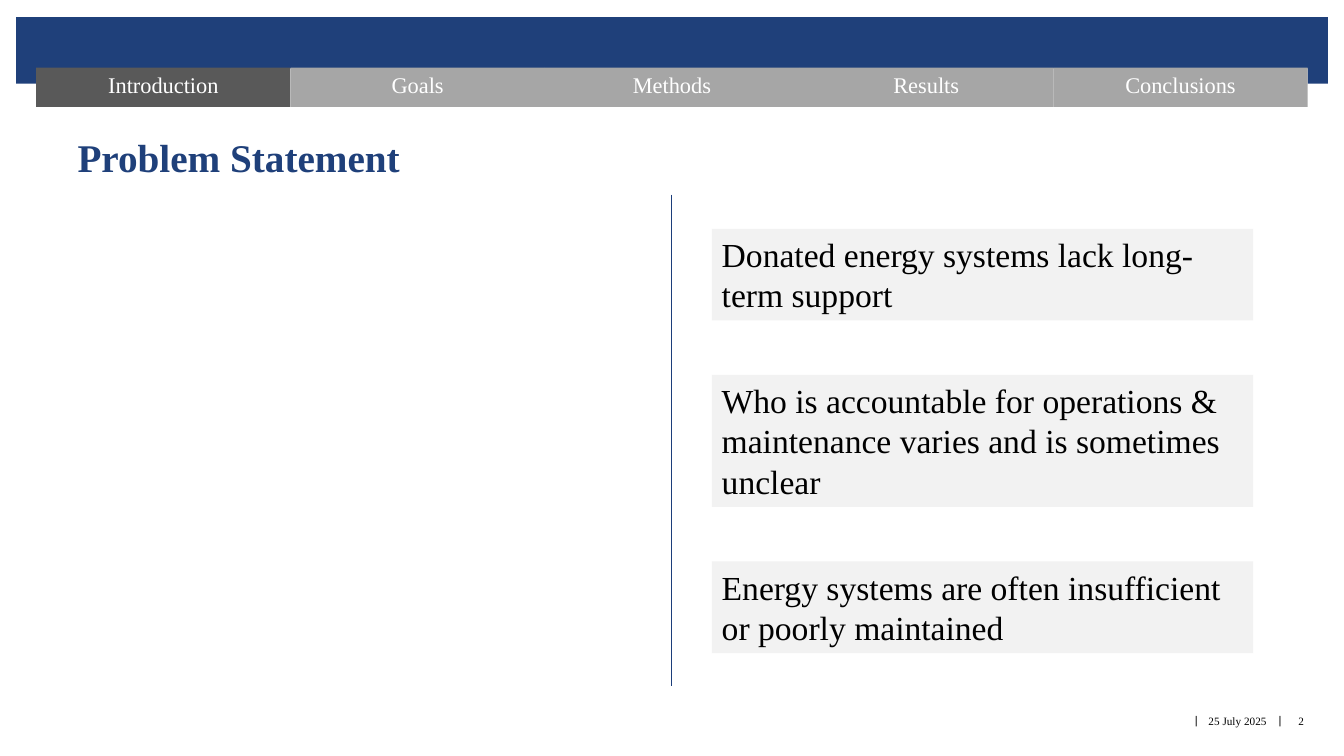
from dataclasses import dataclass

from lxml import etree
from pptx import Presentation
from pptx import util as u
from pptx.dml.color import RGBColor
from pptx.enum import shapes, text
from pptx.oxml import ns


@dataclass(frozen=True)
class Theme:
    navy: str = "1F407A"
    rule: str = "1C3E7A"
    active_tab: str = "595959"
    tab: str = "A6A6A6"
    card: str = "F2F2F2"
    white: str = "FFFFFF"
    black: str = "000000"
    serif: str = "Times New Roman"
    sans: str = "Arial"
    title_size: int = 28
    card_size: int = 24
    tab_size: int = 16
    footer_size: int = 8


@dataclass(frozen=True)
class Box:
    left: float
    top: float
    width: float
    height: float

    def lengths(self):
        return [u.Inches(v) for v in (self.left, self.top, self.width, self.height)]


THEME = Theme()
LEFT, CENTER = text.PP_ALIGN.LEFT, text.PP_ALIGN.CENTER
TOP, MIDDLE = text.MSO_ANCHOR.TOP, text.MSO_ANCHOR.MIDDLE


def add_rectangle(page, box, color):
    shape = page.shapes.add_shape(shapes.MSO_SHAPE.RECTANGLE, *box.lengths())
    shape.shadow.inherit = False
    shape.fill.solid()
    shape.fill.fore_color.rgb = RGBColor.from_string(color)
    shape.line.fill.background()
    return shape


def write(shape, words, size, color, align=LEFT, anchor=TOP, margins=(0, 0, 0, 0),
          font_name=THEME.serif, bold=False, wrap=True):
    frame = shape.text_frame
    frame.word_wrap = wrap
    frame.vertical_anchor = anchor
    (frame.margin_left, frame.margin_top,
     frame.margin_right, frame.margin_bottom) = [u.Inches(m) for m in margins]
    para = frame.paragraphs[0]
    para.text = words
    para.alignment = align
    para.font.name = font_name
    para.font.size = u.Pt(size)
    para.font.bold = bold
    para.font.color.rgb = RGBColor.from_string(color)


def add_banner(page, box):
    end_width, end_height = 0.2, 0.18
    bar_height = 0.51
    end_top = box.top + box.height - end_height
    add_rectangle(page, Box(box.left, box.top, box.width, bar_height), THEME.navy)
    for left in (box.left, box.left + box.width - end_width):
        add_rectangle(page, Box(left, end_top, end_width, end_height), THEME.navy)


def add_tabs(page, box, names, active):
    width = box.width / len(names)
    for index, name in enumerate(names):
        color = THEME.active_tab if name == active else THEME.tab
        tab = add_rectangle(page, Box(box.left + index * width, box.top, width, box.height), color)
        write(tab, name, THEME.tab_size, THEME.white, CENTER, margins=(0, 0.04, 0, 0.04))


def add_title(page, box, words):
    title = add_rectangle(page, box, THEME.white)
    write(title, words, THEME.title_size, THEME.navy, margins=(0.16, 0.06, 0.16, 0), bold=True)


def add_divider(page, box):
    line = page.shapes.add_connector(
        shapes.MSO_CONNECTOR.STRAIGHT, u.Inches(box.left), u.Inches(box.top),
        u.Inches(box.left + box.width), u.Inches(box.top + box.height))
    line.line.color.rgb = RGBColor.from_string(THEME.rule)
    line.line.width = u.Pt(0.75)
    etree.SubElement(line._element.spPr, ns.qn("a:effectLst"))


def add_cards(page, box, cards):
    line_height, padding = 0.4, 0.11
    heights = [lines * line_height + padding for _, lines in cards]
    gap = (box.height - sum(heights)) / (len(cards) - 1)
    top = box.top
    for (words, _), height in zip(cards, heights):
        card = add_rectangle(page, Box(box.left, top, box.width, height), THEME.card)
        write(card, words, THEME.card_size, THEME.black, margins=(0.1, 0.05, 0.1, 0.05))
        card.text_frame.auto_size = text.MSO_AUTO_SIZE.SHAPE_TO_FIT_TEXT
        top += height + gap


def add_footer(page, box, date, number):
    for offset, width, words in ((0, 1.43, date), (1.15, 0.39, number)):
        label = page.shapes.add_textbox(
            *Box(box.left + offset, box.top, width, box.height).lengths())
        write(label, words, THEME.footer_size, THEME.black, CENTER, MIDDLE)
    for offset in (0.23, 1.06):
        separator = page.shapes.add_textbox(
            *Box(box.left + offset, box.top - 0.01, 0.15, box.height).lengths())
        write(separator, "|", THEME.footer_size, THEME.black, CENTER, MIDDLE,
              (0.04, 0.05, 0.04, 0.05), THEME.sans, wrap=False)


def build_problem_slide(deck):
    page = deck.slides.add_slide(deck.slide_layouts[6])
    add_banner(page, Box(0.16, 0.17, 13.01, 0.66))
    add_tabs(page, Box(0.36, 0.67, 12.61, 0.39),
             ["Introduction", "Goals", "Methods", "Results", "Conclusions"], "Introduction")
    add_title(page, Box(0.61, 1.26, 12.36, 0.59), "Problem Statement")
    add_cards(page, Box(7.06, 2.27, 5.37, 4.21), [
        ("Donated energy systems lack long-term support", 2),
        ("Who is accountable for operations & maintenance varies and is sometimes unclear", 3),
        ("Energy systems are often insufficient or poorly maintained", 2),
    ])
    add_divider(page, Box(6.66, 1.93, 0, 4.88))
    add_footer(page, Box(11.56, 6.9, 1.54, 0.51), "25 July 2025", "2")


def main():
    deck = Presentation()
    deck.slide_width = u.Inches(13.33)
    deck.slide_height = u.Inches(7.5)
    build_problem_slide(deck)
    deck.save("out.pptx")


if __name__ == "__main__":
    main()
